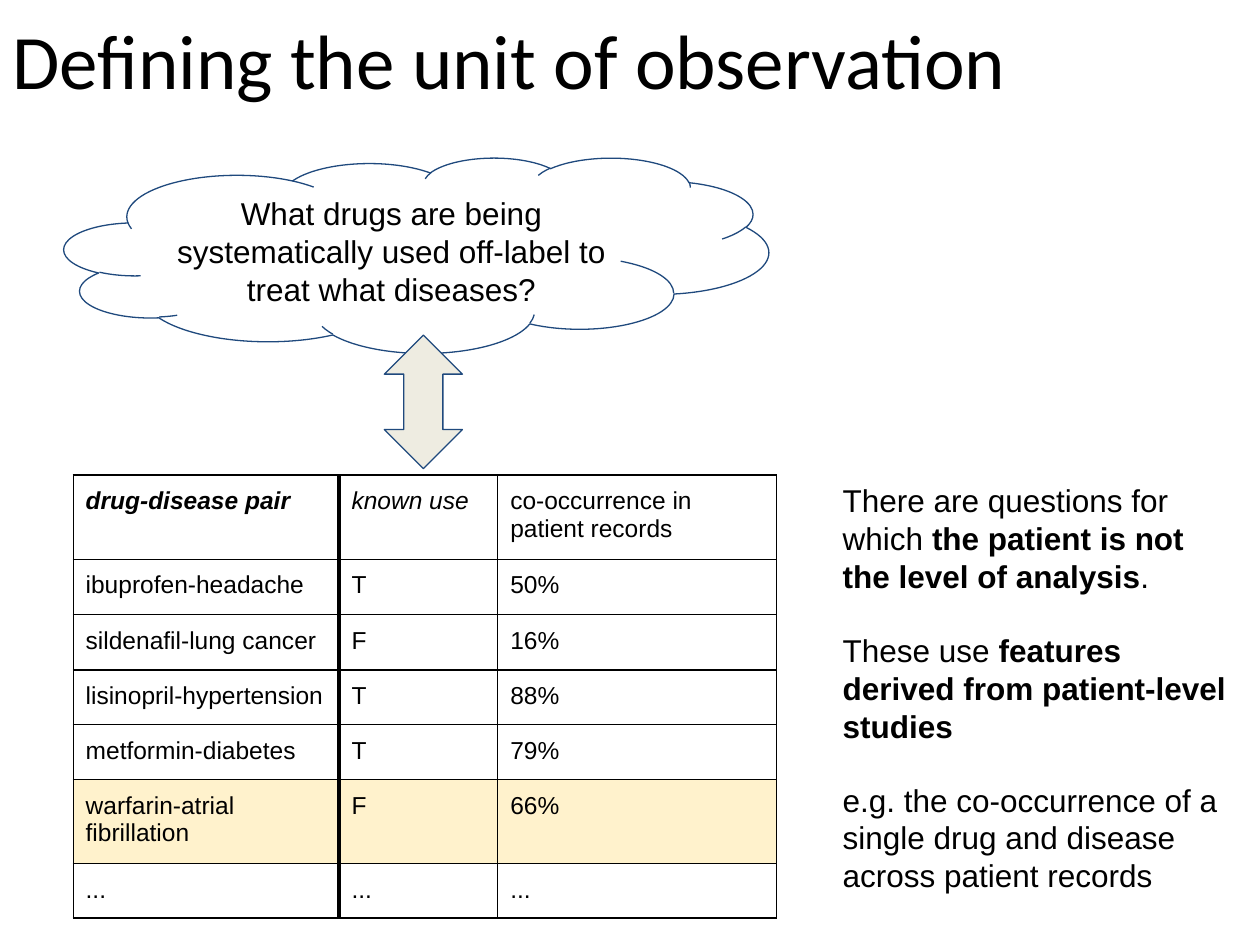
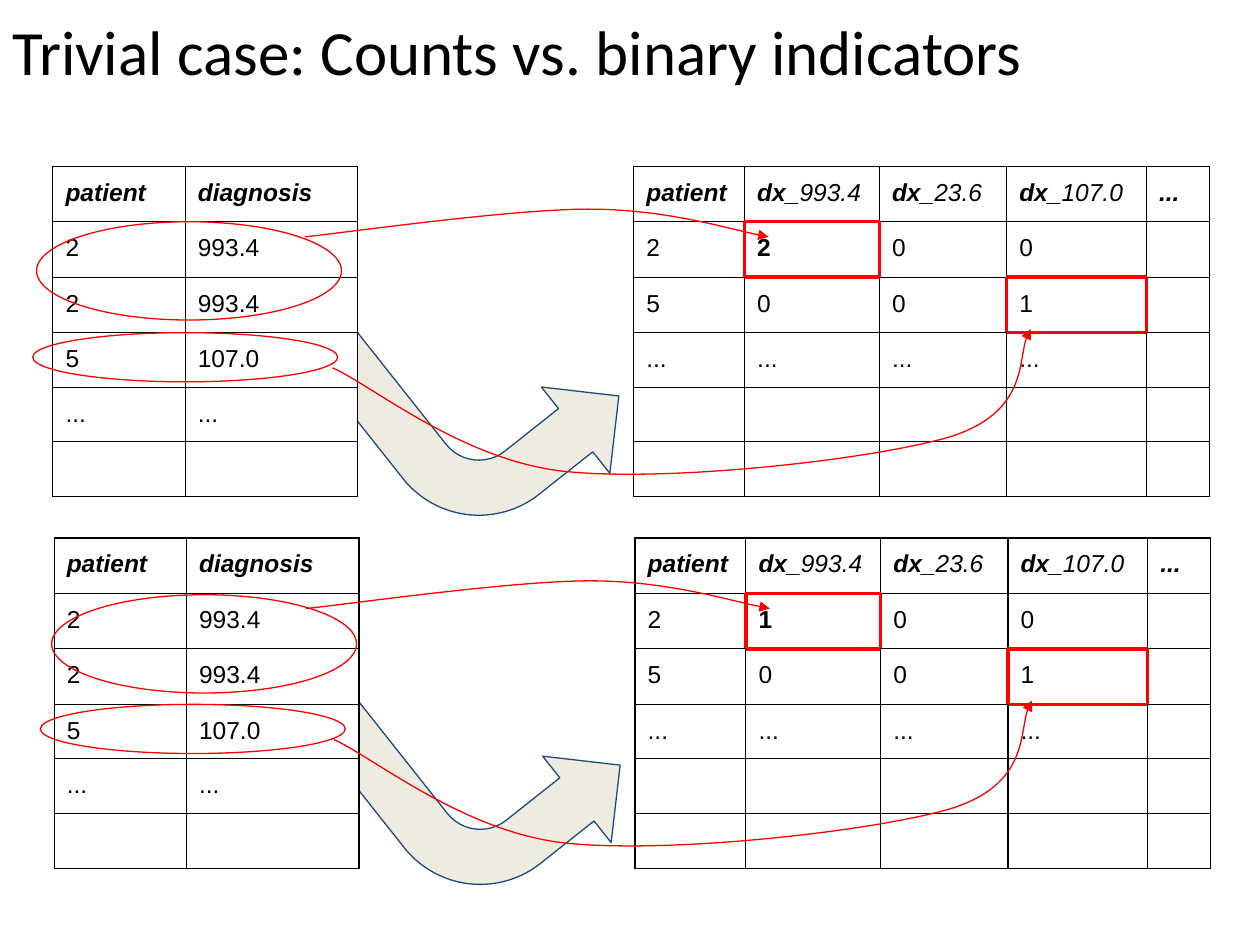
from lxml import etree
from pptx import Presentation
from pptx import util as u
from pptx.dml.color import RGBColor
from pptx.enum import shapes, text
from pptx.oxml.ns import qn

PX = 9144  # 100 px to the inch
INSET = 10 * PX
BLACK, WHITE, RED = "000000", "FFFFFF", "FF0000"
NAVY, CREAM, YELLOW = "1F497D", "EEECE1", "FFF2CC"
THIN, HEAVY = u.Pt(0.75), u.Pt(2.25)
color = RGBColor.from_string


def write(frame, lines, size, font="Arial", italic=False, align="LEFT", anchor="TOP", gap=0):
    """Fill a text frame with lines; *asterisks* enclose bold words."""
    frame.word_wrap = True
    frame.vertical_anchor = getattr(text.MSO_ANCHOR, anchor)
    frame.margin_left = frame.margin_right = frame.margin_top = frame.margin_bottom = INSET
    for index, line in enumerate(lines):
        paragraph = frame.add_paragraph() if index else frame.paragraphs[0]
        paragraph.alignment = getattr(text.PP_ALIGN, align)
        if index:
            paragraph.space_before = u.Pt(gap)
        for part, words in enumerate(line.split("*")):
            if words:
                run = paragraph.add_run()
                run.text = words
                run.font.size, run.font.name = u.Pt(size), font
                run.font.bold, run.font.italic = part % 2 == 1, italic
                run.font.color.rgb = color(BLACK)
        etree.SubElement(paragraph._p, qn("a:endParaRPr"), sz=str(size * 100))


def draw_table(slide, left, top, widths, heights, rows, heavy, heavy_color,
               italic_columns, marked_row=None):
    """Draw a ruled table; heavy holds edges as (direction, row, column)."""
    table = slide.shapes.add_table(len(heights), len(widths), left * PX, top * PX,
                                   sum(widths) * PX, sum(heights) * PX).table
    table.first_row = table.horz_banding = False
    for column, width in enumerate(widths):
        table.columns[column].width = width * PX
    for row, height in enumerate(heights):
        table.rows[row].height = height * PX
        for column in range(len(widths)):
            cell = table.cell(row, column)
            cell.margin_left = cell.margin_right = cell.margin_top = cell.margin_bottom = INSET
            words = rows[row][column] if row < len(rows) else ""
            write(cell.text_frame, [words], 14, italic=row == 0 and column < italic_columns)
            edges = {"L": ("v", row, column), "R": ("v", row, column + 1),
                     "T": ("h", row, column), "B": ("h", row + 1, column)}
            for side, edge in edges.items():
                strong = edge in heavy
                line = etree.SubElement(cell._tc.get_or_add_tcPr(), qn("a:ln" + side),
                                        w=str(HEAVY if strong else THIN))
                fill = etree.SubElement(line, qn("a:solidFill"))
                etree.SubElement(fill, qn("a:srgbClr"), val=heavy_color if strong else BLACK)
            cell.fill.solid()
            cell.fill.fore_color.rgb = color(YELLOW if row == marked_row else WHITE)


presentation = Presentation()
presentation.slide_width, presentation.slide_height = 1000 * PX, 750 * PX
outlined = []  # (shape, fill, line colour), styled at the end

# Slides and their titles
slides = []
for title, size in (("Defining the unit of observation", 44),
                    ("Trivial case: Counts vs. binary indicators", 36)):
    slide = presentation.slides.add_slide(presentation.slide_layouts[6])
    title_box = slide.shapes.add_textbox(0, 0, 950 * PX, 125 * PX)
    write(title_box.text_frame, [title], size, font="Calibri")
    slides.append(slide)
observation_slide, counts_slide = slides

# Slide 1: research question
cloud = observation_slide.shapes.add_shape(shapes.MSO_SHAPE.CLOUD,
                                           51 * PX, 125 * PX, 559 * PX, 155 * PX)
write(cloud.text_frame,
      ["What drugs are being systematically used off-label to treat what diseases?"],
      18, align="CENTER", anchor="MIDDLE")
outlined.append((cloud, None, NAVY))

# Slide 1: drug-disease table, with a heavy rule after the first column
pairs = [
    ("*drug-disease pair*", "known use", "co-occurrence in patient records"),
    ("ibuprofen-headache", "T", "50%"),
    ("sildenafil-lung cancer", "F", "16%"),
    ("lisinopril-hypertension", "T", "88%"),
    ("metformin-diabetes", "T", "79%"),
    ("warfarin-atrial fibrillation", "F", "66%"),
    ("...", "...", "..."),
]
draw_table(observation_slide, 58, 377, [211, 126, 221], [64, 44, 44, 43, 42, 64, 42], pairs,
           {("v", row, 1) for row in range(len(pairs))}, BLACK, 2, marked_row=5)

# Slide 1: arrow between question and table, and the commentary
link_arrow = observation_slide.shapes.add_shape(shapes.MSO_SHAPE.UP_DOWN_ARROW,
                                                305 * PX, 266 * PX, 62 * PX, 106 * PX)
outlined.append((link_arrow, CREAM, NAVY))
commentary = observation_slide.shapes.add_textbox(659 * PX, 372 * PX, 324 * PX, 392 * PX)
write(commentary.text_frame,
      ["There are questions for which *the patient is not the level of analysis*.",
       "These use *features derived from patient-level studies*",
       "e.g. the co-occurrence of a single drug and disease across patient records"],
      18, gap=20.7)

# Slide 2: source records, the same in both panels
records = [("*patient*", "*diagnosis*"), ("2", "993.4"), ("2", "993.4"),
           ("5", "107.0"), ("...", "...")]
red_edges = set()
for row, column in ((1, 1), (2, 3)):
    red_edges |= {("v", row, column), ("v", row, column + 1),
                  ("h", row, column), ("h", row + 1, column)}

# Curves as a start point followed by groups of three Bezier points
curves = [
    [(242, 188), (279, 184), (406, 166), (467, 166), (528, 166), (586, 184), (610, 188)],
    [(264, 292), (294, 305), (366, 365), (447, 374), (529, 383), (691, 365), (753, 347),
     (815, 328), (807, 276), (818, 261)],
]

# Slide 2: counts above, binary indicators below
panels = [
    ("*2*", 0, 0, 138, [(26, 264, 39), (29, 176, 78)]),
    ("*1*", 1, 295, 431, [(32, 559, 39), (41, 472, 78)]),
]
for value, shift_x, shift_y, arrow_top, ellipses in panels:
    features = [
        ("*patient*", "*dx_*993.4", "*dx_*23.6", "*dx_*107.0", "*...*"),
        ("2", value, "0", "0", ""),
        ("5", "0", "0", "1", ""),
        ("...", "...", "...", "...", ""),
    ]
    draw_table(counts_slide, 503 + shift_x, 132 + shift_y, [88, 107, 101, 111, 50],
               [44, 44, 44, 43, 43, 42], features, red_edges, RED, 5)

    # Bent arrow, partly behind the records table
    bent_arrow = counts_slide.shapes.add_shape(shapes.MSO_SHAPE.BENT_ARROW,
                                               (270 + shift_x) * PX, arrow_top * PX,
                                               175 * PX, 297 * PX)
    bent_arrow.adjustments[3] = 0.44
    bent_arrow.rotation = 141.6
    bent_arrow._element.spPr.find(qn("a:xfrm")).set("flipH", "1")
    outlined.append((bent_arrow, CREAM, NAVY))
    draw_table(counts_slide, 42 + shift_x, 132 + shift_y, [105, 137],
               [44, 44, 44, 42, 41, 42], records, set(), BLACK, 2)

    # Ellipses around the records that are merged
    for left, top, height in ellipses:
        ellipse = counts_slide.shapes.add_shape(shapes.MSO_SHAPE.OVAL, left * PX, top * PX,
                                                242 * PX, height * PX)
        outlined.append((ellipse, None, RED))

    # Curved arrows from the records to their features
    for curve in curves:
        points = [(x + shift_x, y + shift_y) for x, y in curve]
        builder = counts_slide.shapes.build_freeform(*points[0], scale=PX)
        builder.add_line_segments(points[1:], close=False)
        curved_arrow = builder.convert_to_shape()
        segments = list(curved_arrow._element.iter(qn("a:lnTo")))
        for first in range(0, len(segments), 3):
            bezier = etree.Element(qn("a:cubicBezTo"))
            segments[first].addprevious(bezier)
            for segment in segments[first:first + 3]:
                bezier.append(segment[0])
                segment.getparent().remove(segment)
        line = curved_arrow.line._get_or_add_ln()
        etree.SubElement(line, qn("a:tailEnd"), type="triangle", w="med", len="med")
        outlined.append((curved_arrow, None, RED))

# Fill and outline of every shape
for shape, fill, line_color in outlined:
    shape.shadow.inherit = False
    if fill:
        shape.fill.solid()
        shape.fill.fore_color.rgb = color(fill)
    else:
        shape.fill.background()
    shape.line.color.rgb = color(line_color)
    shape.line.width = THIN

presentation.save("out.pptx")
